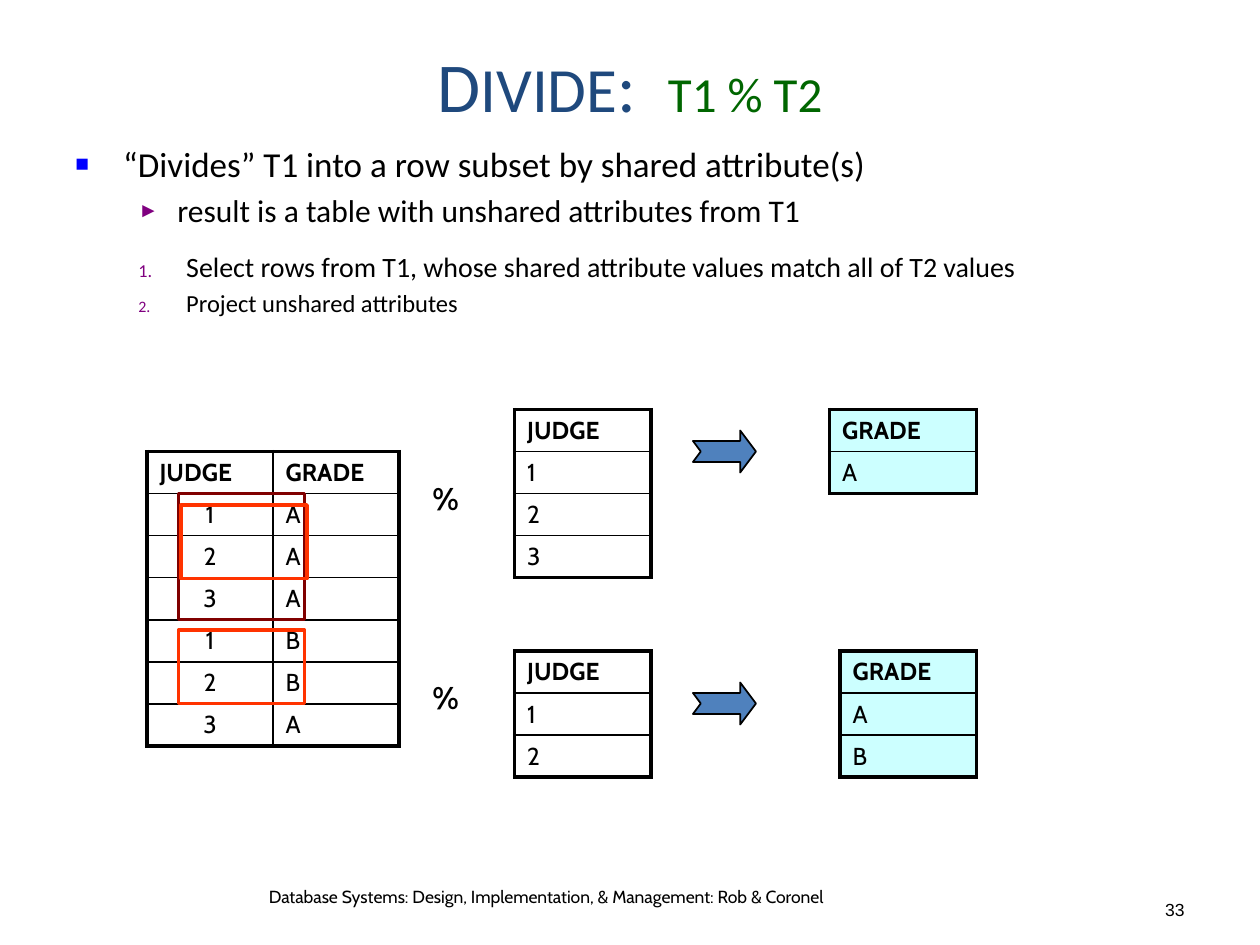
"""Build a slide that explains the relational DIVIDE operator with two examples."""
from lxml.etree import SubElement
from pptx import Presentation
from pptx.dml.color import RGBColor
from pptx.enum.shapes import MSO_SHAPE as Preset
from pptx.enum.text import MSO_ANCHOR as Anchor, PP_ALIGN as Align
from pptx.oxml.ns import qn
from pptx.util import Inches, Pt

color = RGBColor.from_string
deck = Presentation()
deck.slide_width, deck.slide_height = Inches(10), Inches(7.5)
slide = deck.slides.add_slide(deck.slide_layouts[6])
column, row = deck.slide_width / 120, deck.slide_height / 90


def place(left, top, width, height):
    return [int(n * step) for n, step in zip((left, top, width, height), (column, row) * 2)]


def write(paragraph, text, size, name="Calibri", ink="000000", bold=False):
    run = paragraph.add_run()
    run.text = text
    for key, value in dict(size=Pt(size), name=name, bold=bold).items():
        setattr(run.font, key, value)
    run.font.color.rgb = color(ink)


title_runs = [("D", 40, "1F497D"), ("IVIDE", 36, "1F497D"), (":  ", 40, "1F497D"), ("T1 % T2", 28, "006600")]
percent = [("%", 18, "000000")]
footer = [("Database Systems: Design, Implementation, & Management: Rob & Coronel", 10, "000000")]
labels = [
    ((6, 3, 108, 10), title_runs, "Calibri", Align.CENTER, Anchor.MIDDLE, False),
    ((109, 85, 5, 3.2), [("33", 10, "000000")], "Arial", Align.RIGHT, Anchor.BOTTOM, False),
    ((15, 83.75, 74, 3.25), footer, "Cabin", Align.CENTER, Anchor.TOP, False),
    ((40, 45, 6, 4.8), percent, "Cabin", Align.LEFT, Anchor.TOP, True),
    ((40, 64, 6, 4.8), percent, "Cabin", Align.LEFT, Anchor.TOP, True),
]
for area, runs, name, align, anchor, bold in labels:
    frame = slide.shapes.add_textbox(*place(*area)).text_frame
    for key, value in dict(word_wrap=True, vertical_anchor=anchor).items():
        setattr(frame, key, value)
    frame.paragraphs[0].alignment = align
    for text, size, ink in runs:
        write(frame.paragraphs[0], text, size, name, ink, bold)

points = [
    ("“Divides” T1 into a row subset by shared attribute(s)", 20, 0, 0, 0.38, 0.38, "0000FF", "■"),
    ("result is a table with unshared attributes from T1", 18, 1, 3.6, 0.81, 0.31, "800080", "►"),
    ("Select rows from T1, whose shared attribute values match all of T2 values", 16, 1, 12, 0.88, 0.38, "800080", None),
    ("Project unshared attributes", 14, 1, 2.8, 0.88, 0.38, "800080", None),
]
body = slide.shapes.add_textbox(*place(6, 13, 108, 69)).text_frame
body.word_wrap = True
for index, (text, size, level, gap, indent, hanging, ink, mark) in enumerate(points):
    point = body.add_paragraph() if index else body.paragraphs[0]
    for key, value in dict(level=level, space_before=Pt(gap)).items():
        setattr(point, key, value)
    properties = point._p.get_or_add_pPr()
    properties.set("marL", str(Inches(indent)))
    properties.set("indent", str(-Inches(hanging)))
    SubElement(SubElement(properties, qn("a:buClr")), qn("a:srgbClr"), val=ink)
    SubElement(properties, qn("a:buSzPct"), val="65000")
    if mark:
        SubElement(properties, qn("a:buFont"), typeface="Arial")
        SubElement(properties, qn("a:buChar"), char=mark)
    else:
        SubElement(properties, qn("a:buAutoNum"), type="arabicPeriod")
    write(point, text, size)

row_height = 4
grades = [("JUDGE", "GRADE"), "1A", "2A", "3A", "1B", "2B", "3A"]
relations = [
    (14, 43, 12, grades, None),
    (49, 39, 13, [("JUDGE",), "1", "2", "3"], None),
    (79, 39, 14, [("GRADE",), "A"], "CCFFFF"),
    (49, 62, 13, [("JUDGE",), "1", "2"], None),
    (80, 62, 13, [("GRADE",), "A", "B"], "CCFFFF"),
]
for left, top, width, records, tint in relations:
    last_row, last_column = len(records) - 1, len(records[0]) - 1
    area = place(left, top, width * (last_column + 1), row_height * len(records))
    table = slide.shapes.add_table(last_row + 1, last_column + 1, *area).table
    table.first_row = table.horz_banding = False
    for r, record in enumerate(records):
        for c, value in enumerate(record):
            cell = table.cell(r, c)
            paragraph = cell.text_frame.paragraphs[0]
            paragraph.alignment = Align.CENTER if last_column and r and c == 0 else Align.LEFT
            write(paragraph, value, 14, "Cabin", bold=r == 0)
            edges = dict(lnL=c == 0, lnR=c == last_column, lnT=r == 0, lnB=r == last_row)
            for edge, outer in edges.items():
                border = SubElement(cell._tc.get_or_add_tcPr(), qn(f"a:{edge}"), w=str(Pt(2.25 if outer else 1)))
                SubElement(SubElement(border, qn("a:solidFill")), qn("a:srgbClr"), val="000000")
            if tint:
                cell.fill.solid()
                cell.fill.fore_color.rgb = color(tint)
            else:
                cell.fill.background()

marks = [
    (Preset.NOTCHED_RIGHT_ARROW, (66, 41, 6, 4), "4F81BD", "000000", 1),
    (Preset.NOTCHED_RIGHT_ARROW, (66, 65, 6, 4), "4F81BD", "000000", 1),
    (Preset.RECTANGLE, (17, 47, 12, 12), None, "800000", 2),
    (Preset.RECTANGLE, (17, 60, 12, 7), None, "FF3300", 2),
    (Preset.RECTANGLE, (17.25, 48.1, 12, 7), None, "FF3300", 2),
]
for preset, area, tint, ink, weight in marks:
    mark = slide.shapes.add_shape(preset, *place(*area))
    mark.shadow.inherit = False
    mark.line.color.rgb = color(ink)
    mark.line.width = Pt(weight)
    if tint:
        mark.adjustments[1] = 0.375
        mark.fill.solid()
        mark.fill.fore_color.rgb = color(tint)
    else:
        mark.fill.background()

deck.save("out.pptx")
